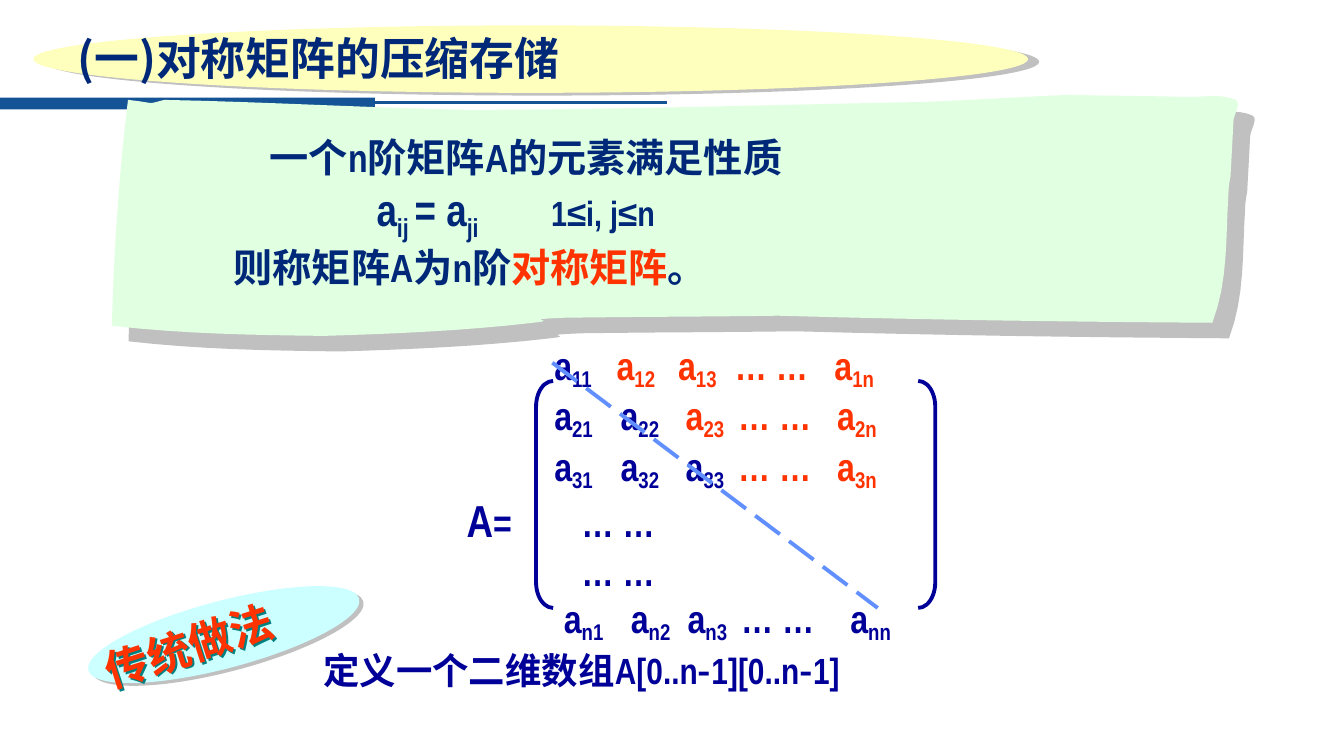
from dataclasses import dataclass

from lxml.etree import SubElement
from pptx import Presentation
from pptx.dml.color import RGBColor
from pptx.enum.dml import MSO_LINE
from pptx.enum.shapes import MSO_CONNECTOR, MSO_SHAPE
from pptx.enum.text import MSO_ANCHOR, PP_ALIGN
from pptx.oxml.ns import qn
from pptx.util import Cm, Pt


@dataclass(frozen=True)
class Theme:
    bar: str = "145396"
    heading: str = "002878"
    ink: str = "000099"
    accent: str = "FF3300"
    diagonal: str = "618FFD"
    yellow: str = "FFFFBD"
    green: str = "E1FFE1"
    cyan: str = "CCFFFF"
    shadow: str = "C0C0C0"
    text_shadow: str = "008080"
    latin: str = "Arial Narrow"
    chinese: str = "Noto Sans CJK SC"
    large: int = 32
    label: int = 31
    body: int = 28
    note: int = 26
    condition: int = 25


THEME = Theme()

# Panel outline on a 1121 x 242 grid: each row ends a curve (two controls, end point)
PANEL_GRID = (1121, 242)
PANEL_START = (52, 7)
PANEL_CURVES = [
    (155, 9, 255, 15, 358, 17), (534, 16, 646, 12, 809, 9),
    (856, 7, 902, 4, 949, 2), (987, 3, 1025, 3, 1063, 4),
    (1081, 5, 1099, 0, 1115, 7), (1121, 10, 1114, 20, 1113, 27),
    (1112, 46, 1111, 65, 1110, 83), (1109, 88, 1108, 94, 1108, 99),
    (1105, 145, 1108, 185, 1092, 228), (944, 227, 806, 225, 661, 221),
    (591, 222, 520, 222, 449, 223), (399, 225, 448, 225, 418, 228),
    (349, 236, 279, 239, 210, 241), (132, 240, 73, 239, 0, 231),
    (2, 155, 7, 82, 16, 7), (45, 10, 33, 12, 52, 7),
]

# Matrix rows: subscripts, index of the first red term, tab stops in cm
WIDE_TABS = (2.21, 3.88, 5.52, 6.84, 9.34)
MATRIX_ROWS = [
    ("11 12 13 … 1n", 1, (2.21, 3.78, 5.33, 6.76, 9.27)),
    ("21 22 23 … 2n", 2, WIDE_TABS),
    ("31 32 33 … 3n", 3, WIDE_TABS),
    ("n1 n2 n3 … nn", 5, (2.45, 4.14, 5.57, 6.92, 9.67)),
]
DOTS_TAB = (2.9,)


def place(shape, box):
    for name, value in zip(("left", "top", "width", "height"), box):
        setattr(shape, name, Cm(value))


def add_shadow(shape, color, distance, angle):
    shape.shadow.inherit = False
    effects = shape.element.spPr.find(qn("a:effectLst"))
    shadow = SubElement(effects, qn("a:outerShdw"), blurRad="0", dist=str(Pt(distance)),
                        dir=str(angle * 60000), algn="ctr", rotWithShape="0")
    SubElement(shadow, qn("a:srgbClr"), val=color)


def fill_plain(shape, color):
    shape.shadow.inherit = False
    shape.fill.solid()
    shape.fill.fore_color.rgb = RGBColor.from_string(color)
    shape.line.fill.background()


def add_preset(slide, preset, box, color):
    shape = slide.shapes.add_shape(preset, *map(Cm, box))
    fill_plain(shape, color)
    return shape


def add_line(slide, start, end, color, width):
    line = slide.shapes.add_connector(MSO_CONNECTOR.STRAIGHT, *map(Cm, start + end))
    line.line.color.rgb = RGBColor.from_string(color)
    line.line.width = Pt(width)
    SubElement(line.element.spPr, qn("a:effectLst"))
    return line


def set_up_text(shape):
    frame = shape.text_frame
    frame.word_wrap = True
    frame.vertical_anchor = MSO_ANCHOR.TOP
    margins = {"margin_left": 0.25, "margin_right": 0.25, "margin_top": 0.13, "margin_bottom": 0.13}
    for name, value in margins.items():
        setattr(frame, name, Cm(value))
    return frame


def add_text_box(slide, box):
    shape = slide.shapes.add_textbox(*map(Cm, box))
    set_up_text(shape)
    return shape


def write(paragraph, runs, tabs=(), **defaults):
    """Each run is a text or a pair of text and format values."""
    paragraph.alignment = PP_ALIGN.LEFT
    if tabs:
        tab_list = SubElement(paragraph._p.get_or_add_pPr(), qn("a:tabLst"))
        for position in tabs:
            SubElement(tab_list, qn("a:tab"), pos=str(Cm(position)), algn="l")
    for item in runs:
        text, changes = (item, {}) if isinstance(item, str) else item
        style = {"font": THEME.chinese, "size": THEME.body, "base": 0, **defaults, **changes}
        run = paragraph.add_run()
        run.text = text
        values = {"name": style["font"], "size": Pt(style["size"]), "bold": True}
        for name, value in values.items():
            setattr(run.font, name, value)
        run.font.color.rgb = RGBColor.from_string(style["color"])
        properties = run._r.get_or_add_rPr()
        SubElement(properties, qn("a:ea"), typeface=style["font"])
        if style["base"]:
            properties.set("baseline", str(style["base"] * 1000))


def draw_header_rule(slide, left, top):
    add_preset(slide, MSO_SHAPE.RECTANGLE, (left, top, 9.45, 0.3), THEME.bar)
    add_line(slide, (left + 9.35, top + 0.13), (left + 16.81, top + 0.13), THEME.bar, 2.25)


def draw_title(slide, left, top, width, height):
    ellipse = add_preset(slide, MSO_SHAPE.OVAL, (left, top, width, height), THEME.yellow)
    add_shadow(ellipse, THEME.shadow, 8.2, 14)
    title = slide.shapes.title
    place(title, (left + 0.86, top, width - 1.42, height - 0.07))
    ellipse.element.addnext(title.element)  # keeps the title above its ellipse
    write(set_up_text(title).paragraphs[0], ["(一)对称矩阵的压缩存储"],
          size=THEME.large, color=THEME.heading)


def draw_definition(slide, left, top, width, height):
    # Wavy panel
    def locate(x, y):
        return (Cm(left + x * width / PANEL_GRID[0]), Cm(top + y * height / PANEL_GRID[1]))

    points, steps = [], 8
    current = PANEL_START
    for curve in PANEL_CURVES:
        first, second, end = curve[:2], curve[2:4], curve[4:]
        for step in range(1, steps + 1):
            t = step / steps
            u = 1 - t
            points.append(locate(*(u**3 * a + 3 * u * u * t * b + 3 * u * t * t * c + t**3 * d
                                   for a, b, c, d in zip(current, first, second, end))))
        current = end
    builder = slide.shapes.build_freeform(*locate(*PANEL_START))
    builder.add_line_segments(points, close=True)
    panel = builder.convert_to_shape()
    fill_plain(panel, THEME.green)
    add_shadow(panel, THEME.shadow, 16.3, 43)

    # Wording
    latin = {"font": THEME.latin}
    subscript = {"font": THEME.latin, "size": THEME.large, "base": -25}
    formula = {"font": THEME.latin, "size": THEME.large}
    lines = [
        (["\t一个", ("n", latin), "阶矩阵", ("A", latin), "的元素满足性质"], (0.91,)),
        ([("\ta", formula), ("ij ", subscript), ("= a", formula), ("ji", subscript),
          ("\t1≤i, j≤n", {"font": THEME.latin, "size": THEME.condition})], (3.6, 8.0)),
        (["则称矩阵", ("A", latin), "为", ("n", latin), "阶",
          ("对称矩阵", {"color": THEME.accent}), "。"], ()),
    ]
    frame = add_text_box(slide, (left + 2.82, top + 0.97, width - 3.91, 4.06)).text_frame
    for index, (runs, tabs) in enumerate(lines):
        paragraph = frame.add_paragraph() if index else frame.paragraphs[0]
        write(paragraph, runs, tabs, color=THEME.heading)
        paragraph.line_spacing = 0.95
    paragraph.space_before = Pt(5.6)


def matrix_runs(subscripts, red_from):
    runs = []
    for index, subscript in enumerate(subscripts.split()):
        color = THEME.accent if index >= red_from else THEME.ink
        if subscript == "…":
            runs.append(("\t… …", {"color": color}))
        else:
            runs += [("\ta", {"color": color}), (subscript, {"color": color, "base": -18})]
    return runs


def draw_matrix(slide, left, top, width, height):
    # Terms, with the two dotted rows ahead of the last one
    rows = [(matrix_runs(terms, red), tabs) for terms, red, tabs in MATRIX_ROWS]
    rows[3:3] = [([("A", {"size": THEME.large}), "=\t… …"], DOTS_TAB), (["\t… …"], DOTS_TAB)]
    frame = add_text_box(slide, (left, top, width, height)).text_frame
    for index, (runs, tabs) in enumerate(rows):
        paragraph = frame.add_paragraph() if index else frame.paragraphs[0]
        write(paragraph, runs, tabs, font=THEME.latin, color=THEME.ink)

    # Brackets
    for preset, offset in ((MSO_SHAPE.LEFT_BRACKET, 2.0), (MSO_SHAPE.RIGHT_BRACKET, 11.63)):
        bracket = slide.shapes.add_shape(preset, *map(Cm, (left + offset, top + 1.14, 0.43, 5.72)))
        bracket.adjustments[0] = 1.5
        bracket.shadow.inherit = False
        bracket.fill.background()
        bracket.line.color.rgb = RGBColor.from_string(THEME.ink)
        bracket.line.width = Pt(2.75)

    # Main diagonal
    diagonal = add_line(slide, (left + 2.41, top + 0.68), (left + 10.61, top + 6.86),
                        THEME.diagonal, 2.75)
    diagonal.line.dash_style = MSO_LINE.LONG_DASH


def draw_traditional_method(slide, left, top):
    latin = {"font": THEME.latin}
    note = add_text_box(slide, (left + 5.79, top + 1.07, 19.76, 1.37))
    write(note.text_frame.paragraphs[0],
          ["定义一个二维数组", ("A[0..n", latin), "-", ("1][0..n", latin), "-", ("1]", latin)],
          size=THEME.note, color=THEME.ink)
    ellipse = add_preset(slide, MSO_SHAPE.OVAL, (left, top, 7.06, 1.7), THEME.cyan)
    ellipse.rotation = 345.2
    add_shadow(ellipse, THEME.shadow, 3.6, 34)
    label = add_text_box(slide, (left + 0.15, top - 0.13, 7.87, 1.57))
    label.rotation = 342.1
    add_shadow(label, THEME.text_shadow, 2, 45)
    write(label.text_frame.paragraphs[0], ["传统做法"],
          font=THEME.latin, size=THEME.label, color=THEME.accent)


def main():
    presentation = Presentation()
    presentation.slide_width, presentation.slide_height = Cm(33.87), Cm(19.05)
    slide = presentation.slides.add_slide(presentation.slide_layouts[5])
    draw_header_rule(slide, 0, 2.46)
    draw_definition(slide, 2.82, 2.34, 28.47, 6.15)
    draw_matrix(slide, 11.51, 8.46, 12.22, 7.59)
    draw_title(slide, 0.84, 0.64, 25.07, 1.7)
    draw_traditional_method(slide, 2.11, 15.14)
    presentation.save("out.pptx")


if __name__ == "__main__":
    main()
